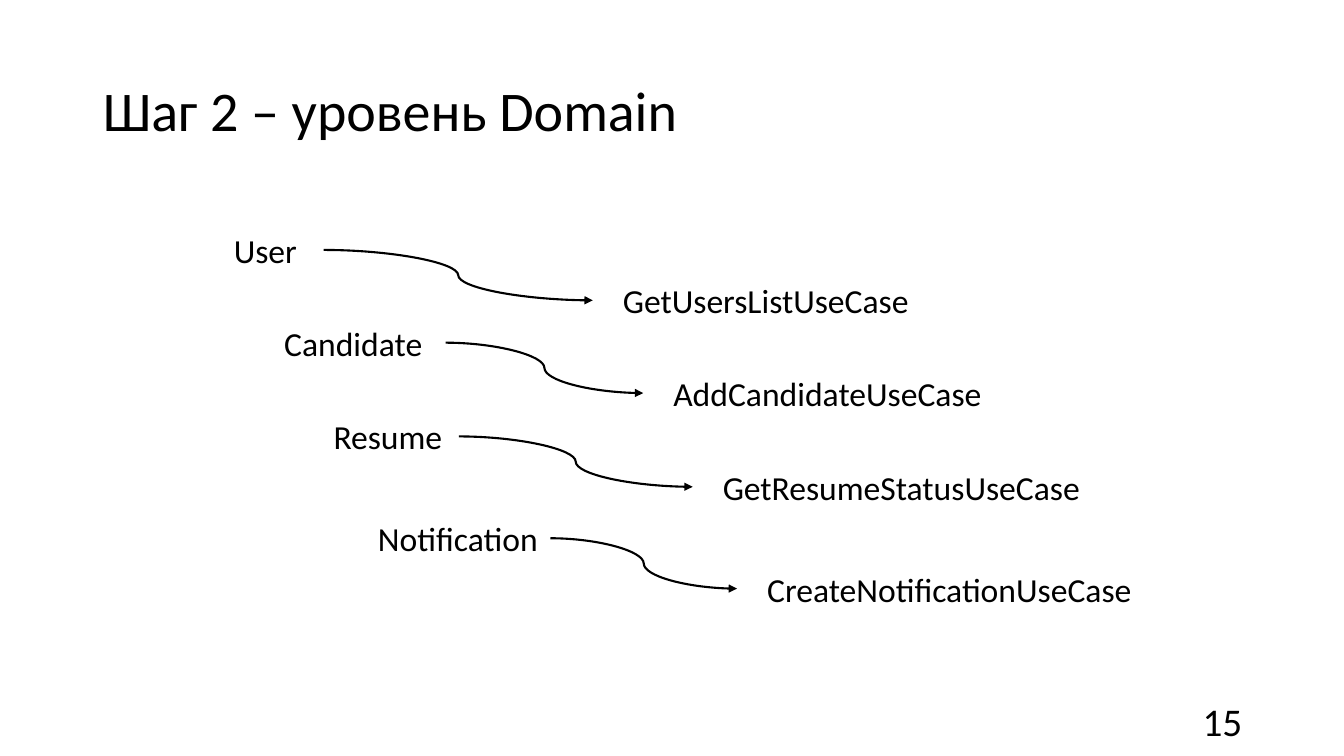
from pptx import Presentation
from pptx import util as u
from pptx.dml.color import RGBColor
from pptx.enum import shapes, text
from pptx.oxml import ns
from lxml import etree

BLACK = RGBColor(0, 0, 0)
FACE = "Calibri"
HIGH = 0.5
DROP = 0.5
PAIRS = [
    ("User", 2.22, 2.23, 0.99, "GetUsersListUseCase", 3.8),
    ("Candidate", 2.72, 3.15, 1.7, "AddCandidateUseCase", 3.8),
    ("Resume", 3.21, 4.08, 1.34, "GetResumeStatusUseCase", 3.95),
    ("Notification", 3.65, 5.09, 1.81, "CreateNotificationUseCase", 4.15),
]
SHIFT = 3.66


def place(shape, box):
    for name, size in zip(("left", "top", "width", "height"), box):
        setattr(shape, name, u.Inches(size))


def write(shape, words, size, frame, align):
    body = shape.text_frame
    for name, value in frame.items():
        setattr(body, name, value)
    para = body.paragraphs[0]
    para.text = words
    para.alignment = align
    font = para.runs[0].font
    for name, value in {"name": FACE, "size": u.Pt(size)}.items():
        setattr(font, name, value)
    font.color.rgb = BLACK
    return para


def label(slide, words, box, size=24, indent=0, align=text.PP_ALIGN.LEFT,
          anchor=text.MSO_ANCHOR.TOP):
    shape = slide.shapes.add_textbox(*map(u.Inches, box))
    frame = {"word_wrap": True, "vertical_anchor": anchor}
    para = write(shape, words, size, frame, align)
    if indent:
        props = para._p.get_or_add_pPr()
        props.set("marL", "0")
        props.set("indent", str(u.Inches(indent)))
    return shape


def head(slide, words, box):
    shape = slide.shapes.title
    place(shape, box)
    frame = {
        "word_wrap": True,
        "auto_size": text.MSO_AUTO_SIZE.NONE,
        "vertical_anchor": text.MSO_ANCHOR.MIDDLE,
    }
    para = write(shape, words, 40, frame, text.PP_ALIGN.LEFT)
    para.line_spacing = 0.9


def arrow(slide, start, end):
    link = slide.shapes.add_connector(shapes.MSO_CONNECTOR.CURVE, 0, 0, 0, 0)
    link.begin_connect(start, 3)
    link.end_connect(end, 1)
    link.line.color.rgb = BLACK
    link.line.width = u.Pt(1.5)
    tail = etree.SubElement(link.line._get_or_add_ln(), ns.qn("a:tailEnd"))
    tail.set("type", "triangle")
    etree.SubElement(link._element.spPr, ns.qn("a:effectLst"))


def pair(slide, model, left, top, width, case, span):
    start = label(slide, model, (left, top, width, HIGH))
    box = (left + SHIFT, top + DROP, span, HIGH)
    arrow(slide, start, label(slide, case, box, indent=0.2))


def main():
    deck = Presentation()
    deck.slide_width = u.Inches(13.33)
    deck.slide_height = u.Inches(7.5)
    slide = deck.slides.add_slide(deck.slide_layouts[5])
    head(slide, "Шаг 2 – уровень Domain", (0.92, 0.4, 11.5, 1.45))
    label(slide, "15", (9.42, 6.95, 3, 0.4), size=28,
          align=text.PP_ALIGN.RIGHT, anchor=text.MSO_ANCHOR.MIDDLE)
    for row in PAIRS:
        pair(slide, *row)
    deck.save("out.pptx")


if __name__ == "__main__":
    main()
